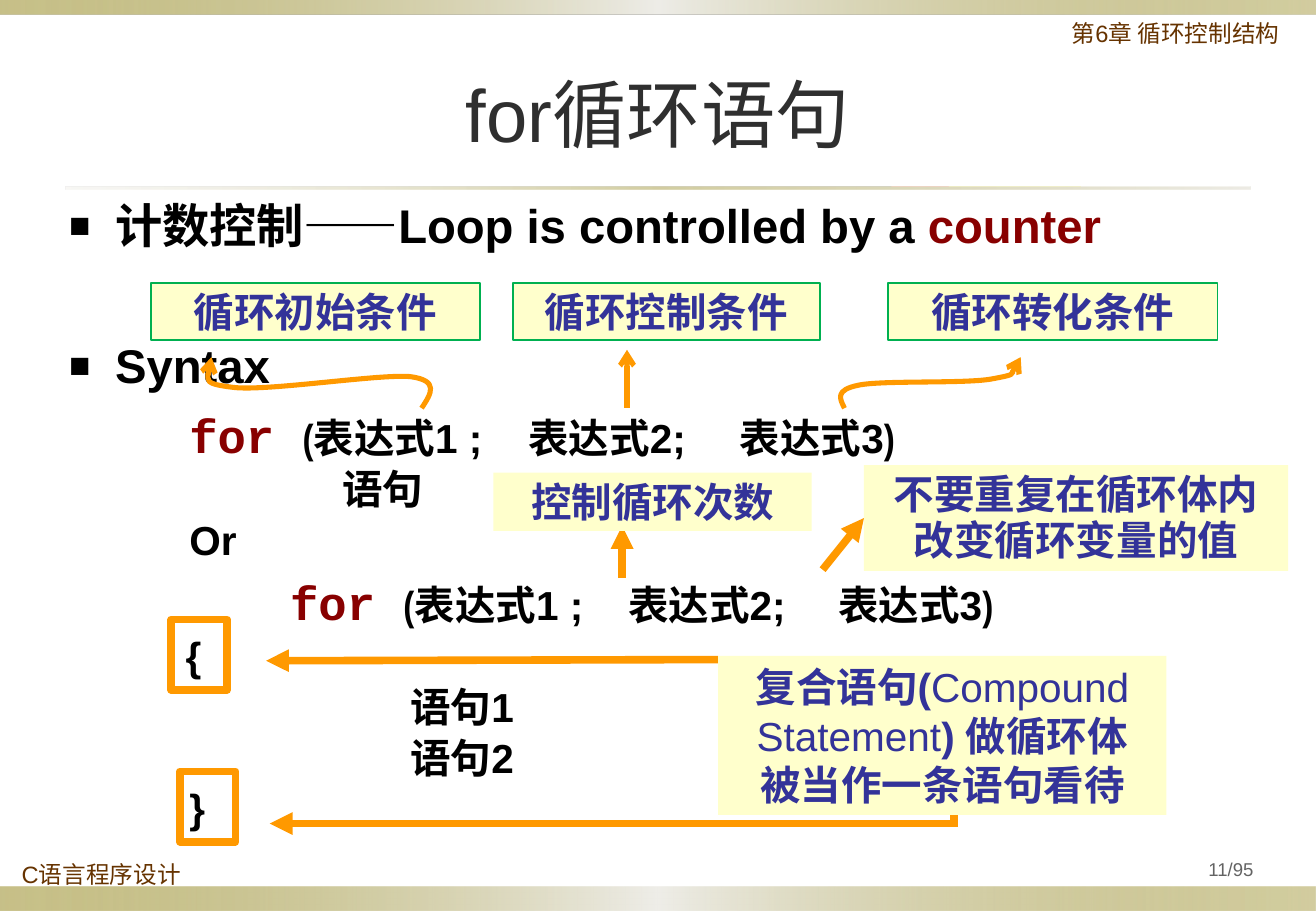
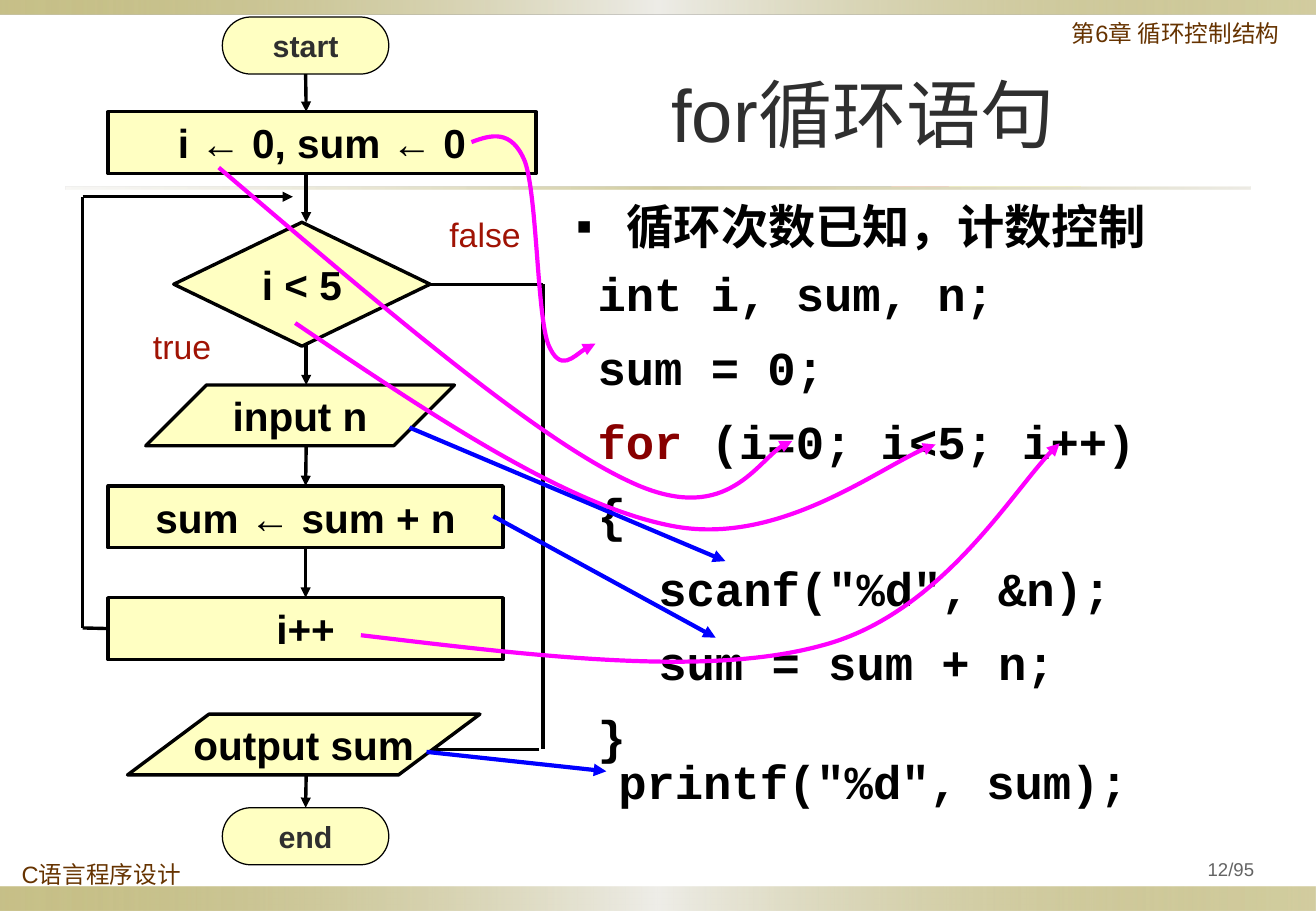
from dataclasses import dataclass, field

from lxml.etree import SubElement
from pptx import Presentation
from pptx.dml.color import RGBColor
from pptx.enum.shapes import MSO_CONNECTOR as LINK, MSO_SHAPE as SHAPE
from pptx.enum.text import MSO_ANCHOR as ANCHOR, PP_ALIGN as ALIGN
from pptx.oxml.ns import qn
from pptx.util import Emu, Pt

PX = 9144
WIDTH, HEIGHT = 1083, 750
TOP, LEFT, BOTTOM, RIGHT = range(4)

BLACK = RGBColor(0x00, 0x00, 0x00)
INK = RGBColor(0x2F, 0x2F, 0x2F)
GREY = RGBColor(0x63, 0x63, 0x63)
BROWN = RGBColor(0x66, 0x33, 0x00)
RED = RGBColor(0x88, 0x00, 0x00)
BRANCH_RED = RGBColor(0xA0, 0x13, 0x04)
INDIGO = RGBColor(0x33, 0x33, 0x99)
ORANGE = RGBColor(0xFF, 0x99, 0x00)
GREEN = RGBColor(0x00, 0xB0, 0x50)
MAGENTA = RGBColor(0xFF, 0x00, 0xFF)
BLUE = RGBColor(0x00, 0x00, 0xFF)
NOTE_YELLOW = RGBColor(0xFF, 0xFF, 0xCC)
FLOW_YELLOW = RGBColor(0xFF, 0xFF, 0xC2)
OLIVE = RGBColor(0x91, 0x84, 0x15)
SILVER = RGBColor(0xEE, 0xED, 0xE8)
SAND = RGBColor(0xDC, 0xD9, 0xCC)

SANS, NARROW, MONO, CJK = "Arial", "Arial Narrow", "Courier New", "Noto Sans CJK SC"

BAND = [(0, OLIVE, 50), (50, SILVER, 100), (100, OLIVE, 40)]
RULE = [(0, SAND, 20), (50, OLIVE, 40), (100, SAND, 50)]

TITLE = dict(name=SANS, size=Pt(44), color=INK, bold=False)
EDGE = dict(name=SANS, size=Pt(14), color=BROWN)
PAGE = dict(name=SANS, size=Pt(11), color=GREY)
HEADING = dict(name=SANS, size=Pt(28), color=BLACK, bold=True)
STEP = dict(name=SANS, size=Pt(24), color=BLACK, bold=True)
TERMINAL = dict(name=SANS, size=Pt(18), color=INK, bold=True)
BRANCH = dict(name=SANS, size=Pt(20), color=BRANCH_RED)
NOTE = dict(name=SANS, size=Pt(24), color=INDIGO, bold=True)
CODE = dict(name=MONO, size=Pt(28), color=BLACK, bold=True)
KEYWORD = dict(name=MONO, size=Pt(28), color=RED)
PAREN = dict(name=NARROW)

CENTER = dict(alignment=ALIGN.CENTER)
MIDDLE = dict(vertical_anchor=ANCHOR.MIDDLE, word_wrap=True)
UNWRAPPED = dict(vertical_anchor=ANCHOR.MIDDLE, word_wrap=False)

THICK, CURVED = (ORANGE, 4.5), (ORANGE, 3)
FLOW, TRACE, STATEMENT = (BLACK, 2), (MAGENTA, 2.5), (BLUE, 2.5)


@dataclass
class Line:
    runs: object
    layout: dict = field(default_factory=dict)
    bullet: tuple = ()
    tabs: tuple = ()


def px(*values):
    return [Emu(round(value * PX)) for value in values]


def apply(target, values):
    for name, value in values.items():
        setattr(target, name, value)


def add_bullet(paragraph, indent, percent):
    properties = paragraph._p.get_or_add_pPr()
    properties.set("marL", str(indent * PX))
    properties.set("indent", str(-indent * PX))
    SubElement(SubElement(properties, qn("a:buClr")), qn("a:srgbClr"), val=str(BLACK))
    SubElement(properties, qn("a:buSzPct"), val=str(percent * 1000))
    SubElement(properties, qn("a:buFont"), typeface=SANS)
    SubElement(properties, qn("a:buChar"), char="■")


def add_tabs(paragraph, stops):
    tabs = SubElement(paragraph._p.get_or_add_pPr(), qn("a:tabLst"))
    for stop in stops:
        SubElement(tabs, qn("a:tab"), pos=str(stop * PX), algn="l")


def add_run(paragraph, text, look):
    run = paragraph.add_run()
    run.text = text
    apply(run.font, {name: value for name, value in look.items() if name != "color"})
    run.font.color.rgb = look["color"]
    SubElement(run.font._element, qn("a:ea"), typeface=CJK)


def write(frame, lines, look, layout):
    apply(frame, layout)
    for index, line in enumerate(lines):
        paragraph = frame.add_paragraph() if index else frame.paragraphs[0]
        apply(paragraph, line.layout)
        if line.bullet:
            add_bullet(paragraph, *line.bullet)
        if line.tabs:
            add_tabs(paragraph, line.tabs)
        runs = [(line.runs, {})] if isinstance(line.runs, str) else line.runs
        for text, changes in runs:
            add_run(paragraph, text, {**look, **changes})


def add_text(slide, box, lines, look, wrap=True, **layout):
    text_box = slide.shapes.add_textbox(*px(*box))
    write(text_box.text_frame, lines, look, dict(word_wrap=wrap, **layout))


def set_line(shape, stroke):
    color, width = stroke
    shape.line.color.rgb = color
    shape.line.width = Pt(width)


def add_arrowheads(shape, **ends):
    outline = shape.element.find(".//" + qn("a:ln"))
    for end, kind in ends.items():
        SubElement(outline, qn("a:" + end), type=kind)


def add_box(slide, kind, box, fill=None, stroke=None, adjust=None):
    shape = slide.shapes.add_shape(kind, *px(*box))
    shape.shadow.inherit = False
    if fill is None:
        shape.fill.background()
    else:
        shape.fill.solid()
        shape.fill.fore_color.rgb = fill
    if stroke is None:
        shape.line.fill.background()
    else:
        set_line(shape, stroke)
    if adjust is not None:
        shape.adjustments[0] = adjust
    return shape


def add_note(slide, box, lines, stroke=None):
    note = add_box(slide, SHAPE.RECTANGLE, box, NOTE_YELLOW, stroke)
    write(note.text_frame, lines, NOTE, MIDDLE)
    return note


def add_step(slide, kind, box, text, adjust=None, look=STEP, width=2):
    step = add_box(slide, kind, box, FLOW_YELLOW, (BLACK, width), adjust)
    write(step.text_frame, [Line(text, CENTER)], look, UNWRAPPED)
    return step


def connect(slide, start, end, stroke, **arrowheads):
    points = [(0, 0) if not isinstance(place[0], int) else place for place in (start, end)]
    connector = slide.shapes.add_connector(LINK.STRAIGHT, *px(*points[0], *points[1]))
    for place, join in ((start, connector.begin_connect), (end, connector.end_connect)):
        if not isinstance(place[0], int):
            join(*place)
    set_line(connector, stroke)
    add_arrowheads(connector, **arrowheads)
    SubElement(connector.element.spPr, qn("a:effectLst"))


def add_curve(slide, points, stroke, arrowhead):
    builder = slide.shapes.build_freeform(*points[0], scale=PX)
    builder.add_line_segments(points[1:], close=False)
    curve = builder.convert_to_shape()
    curve.shadow.inherit = False
    curve.fill.background()
    set_line(curve, stroke)
    add_arrowheads(curve, tailEnd=arrowhead)
    outline = curve.element.find(".//" + qn("a:path"))
    segments = outline.findall(qn("a:lnTo"))
    for first in range(0, len(segments), 3):
        bezier = SubElement(outline, qn("a:cubicBezTo"))
        for segment in segments[first:first + 3]:
            bezier.append(segment[0])
            outline.remove(segment)


def add_band(slide, box, stops):
    band = add_box(slide, SHAPE.RECTANGLE, box)
    band.fill.gradient()
    band.fill.gradient_angle = 0
    stop_list = band.element.find(".//" + qn("a:gsLst"))
    for old in list(stop_list):
        stop_list.remove(old)
    for position, color, opacity in stops:
        stop = SubElement(stop_list, qn("a:gs"), pos=str(position * 1000))
        tint = SubElement(stop, qn("a:srgbClr"), val=str(color))
        SubElement(tint, qn("a:alpha"), val=str(opacity * 1000))


def furnish_layout(slide):
    add_band(slide, (0, 730, WIDTH, 20), BAND)
    add_band(slide, (0, 0, WIDTH, 12), BAND)
    add_band(slide, (54, 154, 975, 2), RULE)
    tight = dict(line_spacing=0.9)
    add_text(slide, (8, 706, 156, 32), [Line("C语言程序设计", tight)], EDGE)
    add_text(slide, (872, 13, 211, 39), [Line("第6章 循环控制结构", tight)], EDGE)
    for shape in list(slide.shapes):
        if not shape.is_placeholder:
            slide.slide_layout.shapes.element.append(shape.element)


def start_slide(deck, title_box, page):
    slide = deck.slides.add_slide(deck.slide_layouts[5])
    if len(deck.slides) == 1:
        furnish_layout(slide)
    title = slide.shapes.title
    apply(title, dict(zip(("left", "top", "width", "height"), px(*title_box))))
    write(title.text_frame, [Line("for循环语句", CENTER)], TITLE, MIDDLE)
    add_text(slide, (959, 700, 108, 31), [Line(f"{page}/95", CENTER)], PAGE,
             vertical_anchor=ANCHOR.MIDDLE)
    return slide


def build_syntax_slide(deck):
    slide = start_slide(deck, (54, 30, 975, 125), 11)

    def body_line(runs, before=0, **extra):
        return Line(runs, dict(line_spacing=Pt(30), space_before=Pt(before)), **extra)

    header = [("\tfor ", KEYWORD), ("(", PAREN),
              ("表达式1 ;\t表达式2;\t表达式3", {}), (")", PAREN)]
    big = dict(size=Pt(28))
    add_text(slide, (47, 162, 964, 547), [
        body_line([("计数控制——", big), ("Loop is controlled by a ", big),
                   ("counter", dict(big, color=RED))], bullet=(38, 75)),
        body_line([("Syntax", big)], 53, bullet=(38, 75)),
        body_line(header, 11, tabs=(99, 378, 552)),
        body_line("\t语句", tabs=(225,)),
        body_line("\tOr", tabs=(99,)),
        body_line(header, 9, tabs=(182, 460, 633)),
        body_line("\t{", tabs=(96,)),
        body_line("\t语句1", tabs=(281,)),
        body_line("\t语句2", tabs=(281,)),
        body_line("\t}", tabs=(99,)),
    ], STEP)

    for left, width, text in ((124, 271, "循环初始条件"), (422, 253, "循环控制条件"),
                              (731, 271, "循环转化条件")):
        add_note(slide, (left, 233, width, 47), [Line(text, CENTER)], (GREEN, 1))
    add_curve(slide, [(347, 336), (355, 324), (362, 313), (337, 310), (311, 308),
                      (221, 322), (193, 319), (166, 316), (170, 305), (174, 294)],
              CURVED, "arrow")
    connect(slide, (516, 288), (516, 336), CURVED, headEnd="arrow")
    add_curve(slide, [(695, 336), (691, 328), (687, 321), (707, 317), (727, 313),
                      (794, 316), (816, 312), (838, 308), (839, 301), (840, 294)],
              CURVED, "arrow")

    for left, top in ((141, 510), (148, 635)):
        add_box(slide, SHAPE.RECTANGLE, (left, top, 46, 58), stroke=THICK)
    connect(slide, (591, 543), (219, 544), THICK, tailEnd="triangle")
    connect(slide, (785, 678), (222, 678), THICK, tailEnd="triangle")
    connect(slide, (785, 603), (785, 681), THICK)
    spaced = dict(CENTER, line_spacing=Pt(29))
    add_note(slide, (591, 540, 369, 131), [
        Line([("复合语句(", {}), ("Compound Statement", dict(bold=False)),
              (") 做循环体", {})], spaced),
        Line("被当作一条语句看待", spaced),
    ])
    warning = add_note(slide, (711, 383, 349, 87), [
        Line("不要重复在循环体内改变循环变量的值", dict(CENTER, line_spacing=Pt(27)))])
    connect(slide, (677, 469), (warning, LEFT), THICK, tailEnd="triangle")
    connect(slide, (512, 476), (512, 433), THICK, tailEnd="triangle")
    add_note(slide, (406, 389, 262, 48), [Line("控制循环次数", CENTER)])


def build_flowchart_slide(deck):
    slide = start_slide(deck, (455, 30, 511, 125), 12)
    arrow = dict(tailEnd="triangle")
    axis = 252

    connect(slide, (444, 617), (333, 617), FLOW, **arrow)
    begin, finish = [
        add_step(slide, SHAPE.ROUNDED_RECTANGLE, (183, top, 137, 47), text, 0.5, TERMINAL, 0.75)
        for top, text in ((14, "start"), (665, "end"))]
    add_step(slide, SHAPE.RECTANGLE, (89, 92, 352, 51), "i ← 0, sum ← 0")
    test = add_step(slide, SHAPE.DIAMOND, (143, 183, 211, 102), "i < 5")
    add_step(slide, SHAPE.PARALLELOGRAM, (120, 317, 254, 50), "input n", 1)
    total = add_step(slide, SHAPE.RECTANGLE, (89, 400, 325, 51), "sum ← sum + n")
    increment = add_step(slide, SHAPE.RECTANGLE, (89, 492, 325, 51), "i++")
    add_step(slide, SHAPE.PARALLELOGRAM, (105, 588, 290, 50), "output sum", 1.34)

    for start, end in (((begin, BOTTOM), (axis, 92)), ((axis, 142), (axis, 183)),
                       ((axis, 283), (axis, 317)), ((axis, 367), (total, TOP)),
                       ((total, BOTTOM), (increment, TOP)), ((axis, 638), (finish, TOP))):
        connect(slide, start, end, FLOW, **arrow)
    connect(slide, (increment, LEFT), (68, 517), FLOW)
    connect(slide, (68, 517), (68, 162), FLOW)
    connect(slide, (68, 162), (241, 162), FLOW, **arrow)
    connect(slide, (test, RIGHT), (447, 234), FLOW)
    connect(slide, (447, 234), (447, 617), FLOW)
    for box, text in (((360, 175, 80, 40), "false"), ((116, 267, 69, 40), "true")):
        add_text(slide, box, [Line(text, dict(line_spacing=0.9))], BRANCH, wrap=False)

    add_text(slide, (465, 155, 571, 62), [Line("循环次数已知，计数控制", bullet=(41, 50))],
             HEADING, vertical_anchor=ANCHOR.MIDDLE)
    program = ["int i, sum, n;", "sum = 0;",
               [("for", dict(color=RED)), (" (i=0; i<5; i++)", {})],
               "{", '\tscanf("%d", &n);', "\tsum = sum + n;", "}"]
    add_text(slide, (482, 218, 497, 408),
             [Line(runs, dict(line_spacing=0.9, space_before=Pt(13.5 if row else 0)))
              for row, runs in enumerate(program)], CODE, wrap=False)
    add_text(slide, (499, 620, 443, 52),
             [Line('printf("%d", sum);', dict(line_spacing=0.9))], CODE, wrap=False)

    for points in (
        [(388, 117), (404, 111), (421, 106), (432, 133), (442, 161),
         (442, 258), (451, 283), (461, 308), (484, 283), (490, 283)],
        [(180, 138), (309, 248), (438, 359), (517, 396), (596, 434), (629, 369), (652, 363)],
        [(243, 266), (354, 341), (465, 416), (553, 433), (640, 450), (734, 377), (770, 366)],
        [(297, 523), (440, 540), (582, 558), (678, 531), (774, 505), (840, 393), (872, 365)],
    ):
        add_curve(slide, points, TRACE, "triangle")
    for start, end in (((337, 352), (597, 462)), ((406, 425), (589, 525)),
                       ((351, 619), (499, 635))):
        connect(slide, start, end, STATEMENT, **arrow)


def main():
    deck = Presentation()
    deck.slide_width, deck.slide_height = px(WIDTH, HEIGHT)
    build_syntax_slide(deck)
    build_flowchart_slide(deck)
    deck.save("out.pptx")


if __name__ == "__main__":
    main()
